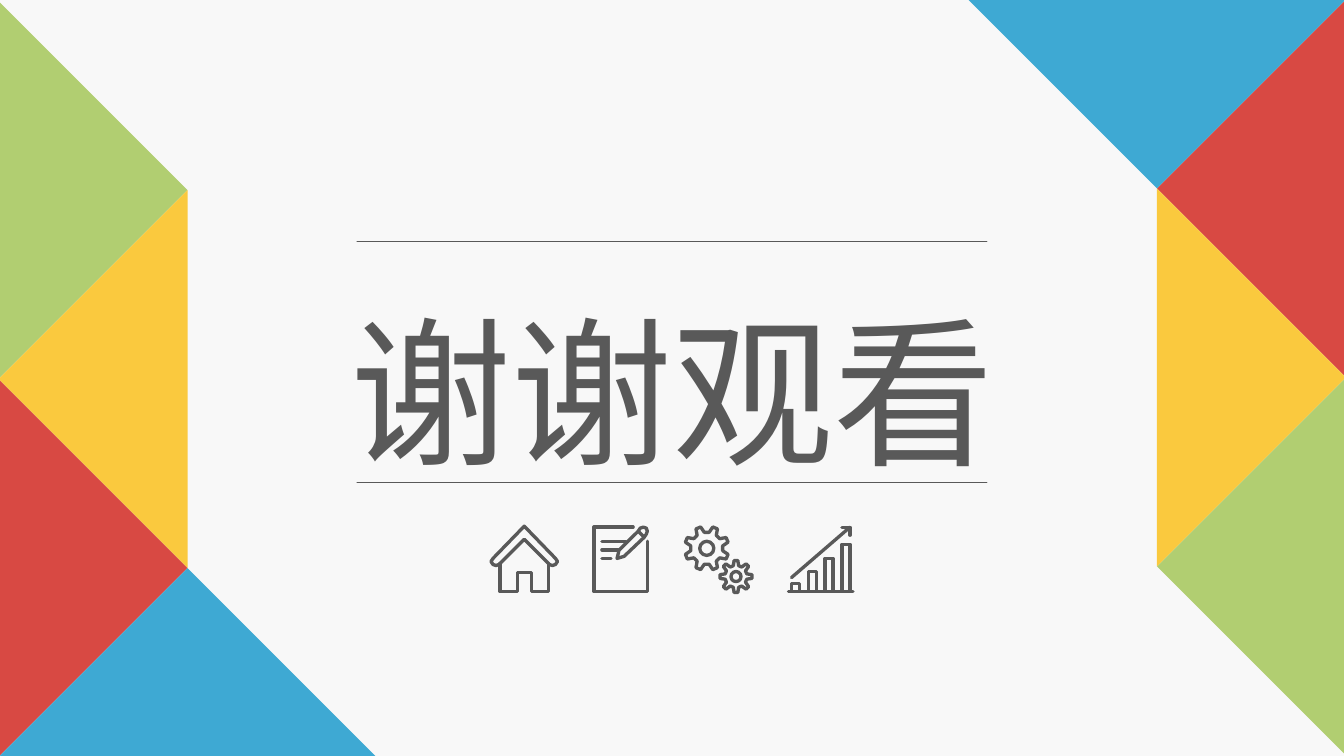
import math

import pptx
import pptx.dml.color
import pptx.enum.shapes
import pptx.enum.text
import pptx.oxml.ns
import pptx.oxml.xmlchemy
import pptx.util

Inches = pptx.util.Inches
Kind = pptx.enum.shapes.MSO_SHAPE
FONT = "Noto Sans CJK SC"
GRAY = "595959"
GREEN, YELLOW, RED, BLUE = "B1CE71", "FAC93E", "D84943", "3EA9D3"
ICON_LINE = 2.38
SIDE = 2.65
STEP = 1.875


def paint(target, color):
    """Apply a hex colour to a fill or a font."""
    if hasattr(target, "solid"):
        target.solid()
        target = target.fore_color
    else:
        target = target.color
    target.rgb = pptx.dml.color.RGBColor.from_string(color)


def make(tag):
    """Create an empty drawing element."""
    return pptx.oxml.xmlchemy.OxmlElement(tag)


def stroke(shape, width):
    """Set a grey line with round ends and corners."""
    paint(shape.line.fill, GRAY)
    shape.line.width = pptx.util.Pt(width)
    element = shape._element.spPr.find(pptx.oxml.ns.qn("a:ln"))
    element.set("cap", "rnd")
    element.append(make("a:round"))


def outline(shape):
    """Give an icon part a line and no fill."""
    shape.shadow.inherit = False
    shape.fill.background()
    stroke(shape, ICON_LINE)


def add_line(shapes, start, end, width=ICON_LINE):
    """Draw a straight line between two points."""
    line = shapes.add_connector(
        pptx.enum.shapes.MSO_CONNECTOR.STRAIGHT,
        *(Inches(value) for value in (*start, *end)))
    stroke(line, width)
    line._element.spPr.append(make("a:effectLst"))


def add_path(shapes, left, top, points, close=False):
    """Draw an outline through points measured from a corner."""
    corners = [(Inches(left + x), Inches(top + y)) for x, y in points]
    builder = shapes.build_freeform(*corners[0])
    builder.add_line_segments(corners[1:], close=close)
    outline(builder.convert_to_shape())


def add_preset(shapes, kind, left, top, width, height):
    """Draw an outlined preset shape."""
    outline(shapes.add_shape(
        kind, Inches(left), Inches(top), Inches(width), Inches(height)))


def add_band(page, left, top, triangles):
    """Stack turned triangles whose left edge alternates."""
    for index, (color, offset, turn, flips) in enumerate(triangles):
        shape = page.shapes.add_shape(
            Kind.RIGHT_TRIANGLE, Inches(left + offset * STEP),
            Inches(top + index * STEP), Inches(SIDE), Inches(SIDE))
        shape.shadow.inherit = False
        paint(shape.fill, color)
        shape.line.fill.background()
        shape.rotation = turn
        for flip in flips:
            shape._element.spPr.xfrm.set("flip" + flip, "1")


def add_title(page, left, top, width, height):
    """Place the closing words between two thin rules."""
    box = page.shapes.title
    box.left, box.top, box.width, box.height = map(Inches, (left, top, width, height))
    frame = box.text_frame
    frame.text = "谢谢观看"
    frame.word_wrap = True
    frame.auto_size = pptx.enum.text.MSO_AUTO_SIZE.SHAPE_TO_FIT_TEXT
    frame.vertical_anchor = pptx.enum.text.MSO_ANCHOR.TOP
    para = frame.paragraphs[0]
    para.alignment = pptx.enum.text.PP_ALIGN.CENTER
    para.line_spacing = 1.3
    para.space_before = pptx.util.Pt(0)
    para.font.size = pptx.util.Pt(115)
    para.font.name = FONT
    paint(para.font, GRAY)
    asian = make("a:ea")
    asian.set("typeface", FONT)
    para.font._element.find(pptx.oxml.ns.qn("a:latin")).addnext(asian)
    for offset in (0.11, 2.51):
        add_line(page.shapes, (left + 0.75, top + offset),
                 (left + width - 0.75, top + offset), 0.5)


def add_house(page, left, top):
    """Draw the house icon."""
    shapes = page.shapes.add_group_shape().shapes
    half = [(0.64, 0.32), (0.66, 0.35), (0.64, 0.38), (0.61, 0.39), (0.58, 0.38)]
    mirrored = [(0.66 - x, y) for x, y in reversed(half)]
    add_path(shapes, left, top, [(0.33, 0), *half, (0.33, 0.13), *mirrored], True)
    add_path(shapes, left, top, [
        (0.09, 0.37), (0.09, 0.65), (0.26, 0.65), (0.26, 0.46),
        (0.4, 0.46), (0.4, 0.65), (0.57, 0.65), (0.57, 0.37)])


def add_note(page, left, top):
    """Draw the sheet and pencil icon."""
    shapes = page.shapes.add_group_shape().shapes
    add_path(shapes, left, top, [
        (0.3, 0.29), (0.23, 0.31), (0.25, 0.23), (0.44, 0.04), (0.5, 0.1)], True)
    add_path(shapes, left, top, [
        (0.5, 0.1), (0.52, 0.07), (0.53, 0.04), (0.52, 0.01),
        (0.49, 0), (0.46, 0.01), (0.44, 0.04)])
    add_path(shapes, left, top, [
        (0.53, 0.14), (0.53, 0.64), (0, 0.64), (0, 0), (0.39, 0)])
    for index, length in enumerate((0.24, 0.16, 0.09)):
        y = top + 0.14 + index * 0.085
        add_line(shapes, (left + 0.08, y), (left + 0.08 + length, y))


def add_gear(shapes, x, y, outer, inner, hole, turn):
    """Draw an eight-toothed gear around a centre."""
    points = []
    for tooth in range(8):
        for radius, spread in ((inner, -14), (outer, -6.5), (outer, 6.5), (inner, 14)):
            angle = math.radians(turn + tooth * 45 + spread)
            points.append((radius * math.cos(angle), radius * math.sin(angle)))
    add_path(shapes, x, y, points, True)
    add_preset(shapes, Kind.OVAL, x - hole, y - hole, 2 * hole, 2 * hole)


def add_gears(page, left, top):
    """Draw the icon of two gears."""
    shapes = page.shapes.add_group_shape().shapes
    add_gear(shapes, left + 0.22, top + 0.21, 0.22, 0.16, 0.07, 22.5)
    add_gear(shapes, left + 0.51, top + 0.49, 0.16, 0.11, 0.05, 0)


def add_growth(page, left, top):
    """Draw the icon of rising bars under an arrow."""
    shapes = page.shapes.add_group_shape().shapes
    base = top + 0.64
    for index, height in enumerate((0.08, 0.2, 0.33, 0.47)):
        add_preset(shapes, Kind.RECTANGLE, left + 0.03 + index / 6,
                   base - height, 0.08, height)
    add_line(shapes, (left + 0.64, base), (left, base))
    add_line(shapes, (left + 0.61, top), (left + 0.03, top + 0.5))
    add_path(shapes, left, top, [(0.53, 0), (0.61, 0), (0.61, 0.08)])


def main():
    """Build and save the closing slide."""
    deck = pptx.Presentation()
    deck.slide_width, deck.slide_height = Inches(13.33), Inches(7.5)
    page = deck.slides.add_slide(deck.slide_layouts[5])
    paint(page.background.fill, "F8F8F8")
    add_band(page, -1.34, 0.56, [
        (GREEN, 0, 315, "H"), (YELLOW, 1, 45, ""),
        (RED, 0, 315, "H"), (BLUE, 1, 45, "V")])
    add_band(page, 10.15, -1.33, [
        (BLUE, 0, 45, "H"), (RED, 1, 315, "V"),
        (YELLOW, 0, 45, "HV"), (GREEN, 1, 315, "V")])
    add_title(page, 2.79, 2.28, 7.75, 2.62)
    add_house(page, 4.87, 5.22)
    add_note(page, 5.89, 5.23)
    add_gears(page, 6.79, 5.23)
    add_growth(page, 7.82, 5.23)
    deck.save("out.pptx")


if __name__ == "__main__":
    main()
